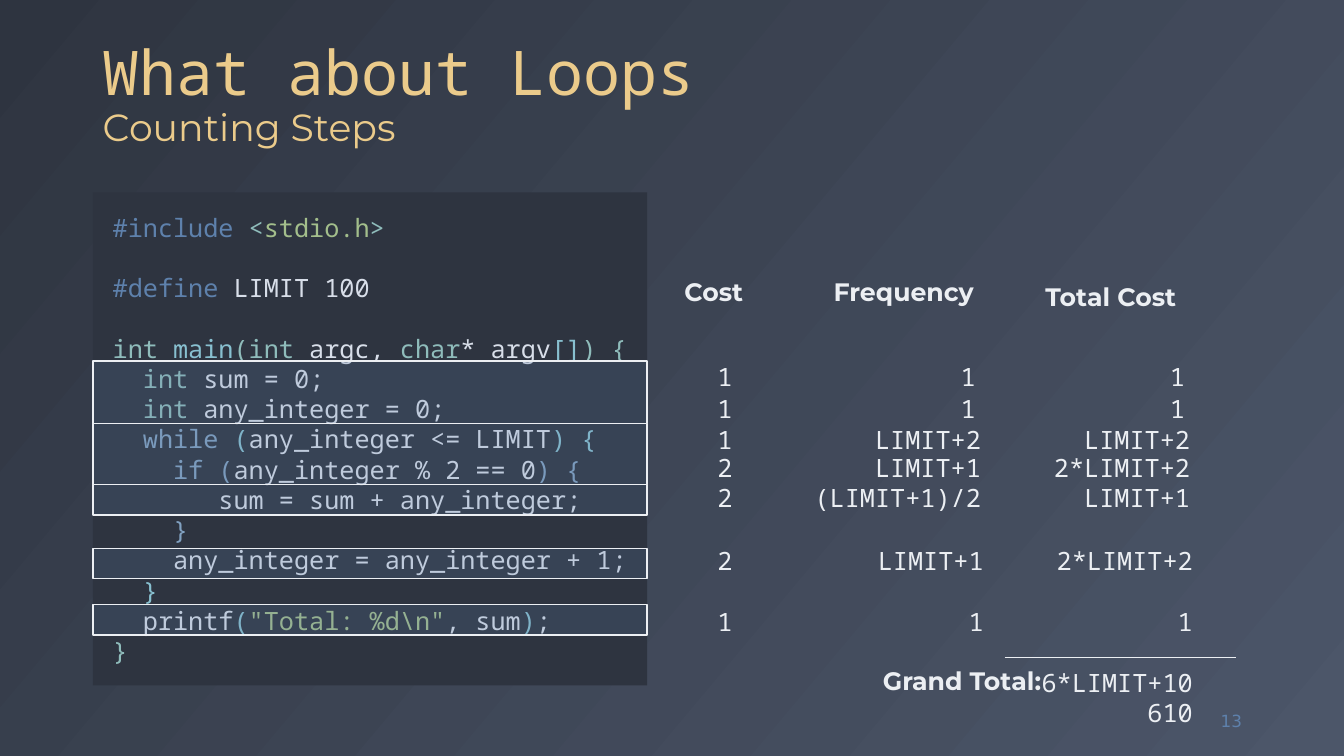
from lxml import etree
from pptx import Presentation
from pptx.dml.color import RGBColor
from pptx.enum.shapes import MSO_CONNECTOR, MSO_SHAPE
from pptx.enum.text import MSO_ANCHOR, PP_ALIGN
from pptx.oxml.ns import qn
from pptx.util import Cm, Pt

RECTANGLE = MSO_SHAPE.RECTANGLE
STRAIGHT = MSO_CONNECTOR.STRAIGHT
TOP, MIDDLE, BOTTOM = MSO_ANCHOR.TOP, MSO_ANCHOR.MIDDLE, MSO_ANCHOR.BOTTOM
LEFT, RIGHT = PP_ALIGN.LEFT, PP_ALIGN.RIGHT

NIGHT = RGBColor(0x2E, 0x34, 0x40)
SLATE = RGBColor(0x4C, 0x56, 0x69)
SNOW = RGBColor(0xEC, 0xEF, 0xF3)
GOLD = RGBColor(0xEB, 0xCB, 0x8B)
GREY = RGBColor(0xD8, 0xDE, 0xE9)
BLUE = RGBColor(0x5E, 0x81, 0xAC)
STEEL = RGBColor(0x81, 0xA1, 0xC1)
CYAN = RGBColor(0x88, 0xC0, 0xD0)
TEAL = RGBColor(0x8F, 0xBC, 0xBB)
GREEN = RGBColor(0xA3, 0xBE, 0x8C)

MONO, SANS, NUMBER_FONT = "Noto Sans Mono", "Montserrat", "DejaVu Sans"

TITLE, SUBTITLE = "What about Loops", "Counting Steps"
SLIDE_NUMBER = "13"

# Each code line is a list of (text, colour)
CODE = [
    [("#include ", BLUE), ("<", TEAL), ("stdio.h", GREEN), (">", TEAL)],
    [("#define ", BLUE), ("LIMIT 100", GREY)],
    [("int ", TEAL), ("main", CYAN), ("(int ", TEAL), ("argc, ", GREY), ("char", TEAL),
     ("* argv", GREY), ("[]", CYAN), (") {", TEAL)],
    [("  int ", TEAL), ("sum = 0;", GREY)],
    [("  int ", TEAL), ("any_integer = 0;", GREY)],
    [("  while ", STEEL), ("(", CYAN), ("any_integer <= LIMIT", GREY), (") {", CYAN)],
    [("    if (", STEEL), ("any_integer % 2 == 0", GREY), (") {", STEEL)],
    [("       sum = sum + any_integer;", GREY)],
    [("    }", STEEL)],
    [("    any_integer = any_integer + 1;", GREY)],
    [("  }", CYAN)],
    [("  printf", GREY), ("(", CYAN), ('"Total: %d\\n"', GREEN), (", sum", GREY),
     (")", CYAN), (";", GREY)],
    [("}", TEAL)],
]
SPACED_LINES = 2  # the preprocessor lines are each followed by a gap
LINE_PITCH = 21.6

# Lengths below are in centimetres
CODE_LEFT, CODE_TOP, CODE_WIDTH, CODE_HEIGHT = 2.34, 4.85, 13.97, 12.42
CODE_INSET, CODE_RIGHT_INSET = 0.5, 0.3
HIGHLIGHTS = [(9.1, 1.57), (10.67, 1.54), (12.21, 0.77), (13.82, 0.76), (15.24, 0.76)]
HIGHLIGHT_OPACITY = 20

HEADINGS = [("Cost", 16.03, 6.83, 2.95), ("Frequency", 20.5, 6.83, 4.29),
            ("Total Cost", 25.6, 6.96, 4.29)]
# (right edge, width, whether longer formulas push it to the right)
COLUMNS = [(18.71, 2.95, False), (24.84, 4.78, True), (30.11, 4.78, True)]
# (top, push to the right, values of the three columns)
ROWS = [
    (8.99, 0, ("1", "1", "1")),
    (9.78, 0, ("1", "1", "1")),
    (10.56, 0.13, ("1", "LIMIT+2", "LIMIT+2")),
    (11.28, 0.13, ("2", "LIMIT+1", "2*LIMIT+2")),
    (12.04, 0.13, ("2", "(LIMIT+1)/2", "LIMIT+1")),
    (13.61, 0.2, ("2", "LIMIT+1", "2*LIMIT+2")),
    (15.16, 0.2, ("1", "1", "1")),
]
ROW_HEIGHT = 1.02
SUM_LINE = (25.32, 31.14, 16.56)
GRAND_TOTAL = ["6*LIMIT+10", "610"]


def add_run(paragraph, text, color, font=MONO, size=18, bold=False):
    run = paragraph.add_run()
    run.text = text
    run.font.name, run.font.size, run.font.bold = font, Pt(size), bold
    run.font.color.rgb = color


def add_text(slide, box, lines, color=SNOW, font=MONO, size=18, bold=False,
             align=RIGHT, anchor=TOP):
    """Add a text box with one paragraph per line."""
    text_frame = slide.shapes.add_textbox(*map(Cm, box)).text_frame
    text_frame.word_wrap = True
    text_frame.vertical_anchor = anchor
    for index, line in enumerate(lines):
        paragraph = text_frame.add_paragraph() if index else text_frame.paragraphs[0]
        paragraph.alignment = align
        add_run(paragraph, line, color, font, size, bold)
    return text_frame


def add_rectangle(slide, top, height):
    shape = slide.shapes.add_shape(
        RECTANGLE, Cm(CODE_LEFT), Cm(top), Cm(CODE_WIDTH), Cm(height))
    shape.shadow.inherit = False
    shape.fill.solid()
    return shape


def add_title(slide):
    text_frame = add_text(slide, (2.34, 0.46, 29.21, 3.45), [TITLE], GOLD, size=44,
                          align=LEFT, anchor=BOTTOM)
    paragraph = text_frame.paragraphs[0]
    paragraph.line_spacing = 0.9
    paragraph.add_line_break()
    add_run(paragraph, SUBTITLE, GOLD, SANS, 27)


def add_code(slide):
    panel = add_rectangle(slide, CODE_TOP, CODE_HEIGHT)
    panel.fill.fore_color.rgb = NIGHT
    panel.line.fill.background()
    text_frame = panel.text_frame
    text_frame.word_wrap = True
    text_frame.vertical_anchor = MIDDLE
    text_frame.margin_left, text_frame.margin_right = Cm(CODE_INSET), Cm(CODE_RIGHT_INSET)
    text_frame.margin_top = text_frame.margin_bottom = Cm(CODE_INSET)
    for index, line in enumerate(CODE):
        paragraph = text_frame.add_paragraph() if index else text_frame.paragraphs[0]
        paragraph.alignment = LEFT
        if index < SPACED_LINES:
            paragraph.space_after = Pt(LINE_PITCH)
        for text, color in line:
            add_run(paragraph, text, color)

    for top, height in HIGHLIGHTS:
        highlight = add_rectangle(slide, top, height)
        highlight.fill.fore_color.rgb = BLUE
        color_element = highlight._element.spPr.find(qn("a:solidFill"))[0]
        etree.SubElement(color_element, qn("a:alpha"), val=str(HIGHLIGHT_OPACITY * 1000))
        highlight.line.color.rgb = SNOW
        highlight.line.width = Pt(1)


def add_costs(slide):
    for heading, left, top, width in HEADINGS:
        add_text(slide, (left, top, width, ROW_HEIGHT), [heading], font=SANS, bold=True)
    for top, push, values in ROWS:
        for value, (right, width, pushed) in zip(values, COLUMNS):
            left = right - width + (push if pushed else 0)
            add_text(slide, (left, top, width, ROW_HEIGHT), [value])

    start, end, height = SUM_LINE
    sum_line = slide.shapes.add_connector(STRAIGHT, Cm(start), Cm(height), Cm(end), Cm(height))
    sum_line.line.color.rgb = SNOW
    sum_line.line.width = Pt(0.5)
    etree.SubElement(sum_line._element.spPr, qn("a:effectLst"))
    add_text(slide, (25.53, 16.69, 4.78, 1.8), GRAND_TOTAL)
    add_text(slide, (19.56, 16.64, 6.93, ROW_HEIGHT), ["Grand Total:"], font=SANS, bold=True)


def main():
    presentation = Presentation()
    presentation.slide_width, presentation.slide_height = Cm(33.87), Cm(19.05)
    slide = presentation.slides.add_slide(presentation.slide_layouts[6])
    background = slide.background.fill
    background.gradient()
    background.gradient_angle = 320
    for stop, position, color in zip(background.gradient_stops, (0, 1), (NIGHT, SLATE)):
        stop.position = position
        stop.color.rgb = color

    add_title(slide)
    add_text(slide, (29.44, 17.65, 2.11, ROW_HEIGHT), [SLIDE_NUMBER], BLUE, NUMBER_FONT, 12,
             anchor=MIDDLE)
    add_code(slide)
    add_costs(slide)
    presentation.save("out.pptx")


if __name__ == "__main__":
    main()
